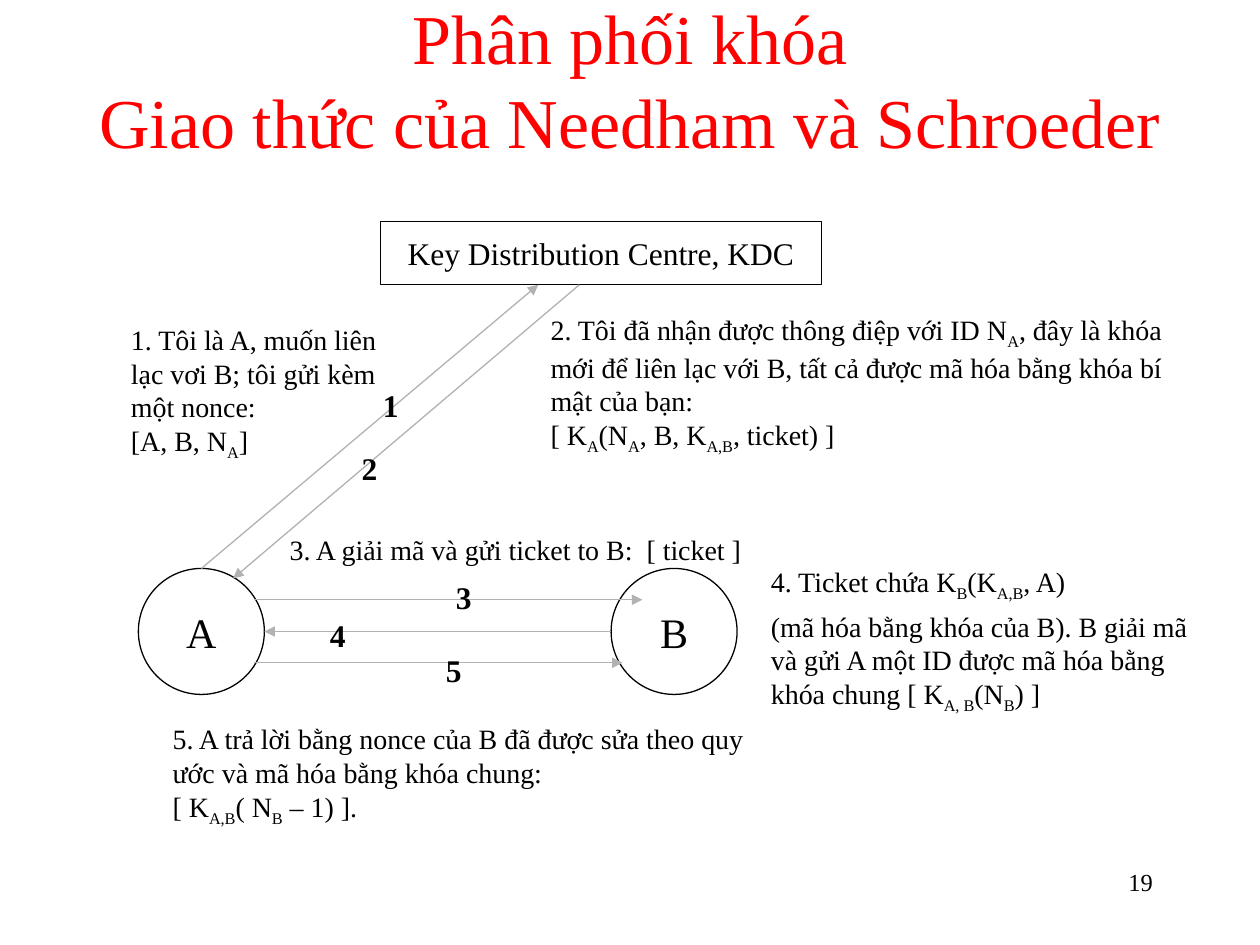
import pptx
import pptx.dml.color
import pptx.enum.shapes
import pptx.enum.text
import pptx.oxml.ns
import pptx.util
from lxml import etree

Cm = pptx.util.Cm
Pt = pptx.util.Pt
qn = pptx.oxml.ns.qn
SHAPES = pptx.enum.shapes.MSO_SHAPE
ALIGN = pptx.enum.text.PP_ALIGN
ANCHOR = pptx.enum.text.MSO_ANCHOR

FONT = "Times New Roman"
BLACK, RED, GREY = "000000", "FF0000", "B2B2B2"
CIRCLE = 2.54

# Each note: left, top, width, height, paragraphs as (text, space after).
# Braces mark subscripts.
NOTES = [
    (2.39, 6.38, 5.51, 3.07, [
        ("1. Tôi là A, muốn liên lạc vơi B; tôi gửi kèm một nonce: \n[A, B, N{A}]", 0)]),
    (10.85, 6.17, 13.13, 3.15, [
        ("2. Tôi đã nhận được thông điệp với ID N{A}, đây là khóa mới để liên lạc "
         "với B, tất cả được mã hóa bằng khóa bí mật của bạn:", 0),
        ("[ K{A}(N{A}, B, K{A,B}, ticket) ]", 3)]),
    (5.59, 10.62, 10.06, 0.94, [
        ("3. A giải mã và gửi ticket to B:  [ ticket ]", 0)]),
    (15.29, 11.25, 9.32, 3.3, [
        ("4. Ticket chứa K{B}(K{A,B}, A)", 4),
        ("(mã hóa bằng khóa của B). B giải mã và gửi A một ID được mã hóa bằng "
         "khóa chung [ K{A, B}(N{B}) ]", 0)]),
    (3.23, 14.43, 12.07, 2.39, [
        ("5. A trả lời bằng nonce của B đã được sửa theo quy ước và mã hóa bằng "
         "khóa chung:\n[ K{A,B}( N{B} – 1) ].", 4)]),
]

# Each message: number, arrow start, arrow end, left and top of the number
MESSAGES = [
    ("1", (4.06, 11.46), (10.85, 5.74), (7.47, 7.65)),
    ("2", (11.68, 5.74), (4.7, 11.66), (7.04, 8.92)),
    ("3", (5.13, 12.09), (12.95, 12.09), (8.94, 11.53)),
    ("4", (12.32, 12.73), (5.33, 12.73), (6.4, 12.29)),
    ("5", (5.13, 13.36), (12.55, 13.36), (8.74, 13)),
]


def color(value):
    return pptx.dml.color.RGBColor.from_string(value)


def add_spans(para, text, size, ink, bold):
    pieces = text.replace("}", "{").split("{")
    for index, piece in enumerate(pieces):
        for row, line in enumerate(piece.split("\n")):
            if row:
                para.add_line_break()
            if not line:
                continue
            span = para.add_run()
            span.text = line
            span.font.name = FONT
            span.font.size = Pt(size)
            span.font.bold = bold
            span.font.color.rgb = color(ink)
            if index % 2:
                span.font._element.set("baseline", "-25000")


def fill_text(box, paragraphs, size, ink=BLACK, align=ALIGN.LEFT,
              anchor=ANCHOR.TOP, wrap=True, bold=False):
    frame = box.text_frame
    frame.word_wrap = wrap
    frame.vertical_anchor = anchor
    for index, (text, after) in enumerate(paragraphs):
        para = frame.add_paragraph() if index else frame.paragraphs[0]
        para.alignment = align
        para.space_after = Pt(after)
        add_spans(para, text, size, ink, bold)


def add_text(page, left, top, width, height, paragraphs, size, **style):
    box = page.shapes.add_textbox(Cm(left), Cm(top), Cm(width), Cm(height))
    fill_text(box, paragraphs, size, **style)


def add_node(page, kind, left, top, width, height, label, size):
    node = page.shapes.add_shape(kind, Cm(left), Cm(top), Cm(width), Cm(height))
    node.shadow.inherit = False
    node.fill.background()
    node.line.color.rgb = color(BLACK)
    node.line.width = Pt(0.75)
    fill_text(node, [(label, 0)], size, align=ALIGN.CENTER,
              anchor=ANCHOR.MIDDLE, wrap=False)


def add_arrow(page, start, end):
    arrow = page.shapes.add_connector(
        pptx.enum.shapes.MSO_CONNECTOR.STRAIGHT, *map(Cm, start + end))
    arrow.line.color.rgb = color(GREY)
    arrow.line.width = Pt(0.75)
    etree.SubElement(arrow.line._get_or_add_ln(), qn("a:tailEnd"), type="triangle")
    etree.SubElement(arrow._element.spPr, qn("a:effectLst"))


def main():
    deck = pptx.Presentation()
    deck.slide_width, deck.slide_height = Cm(25.4), Cm(19.05)
    page = deck.slides.add_slide(deck.slide_layouts[6])

    # Title
    add_text(page, 0, 0, 25.4, 3.18,
             [("Phân phối khóa\nGiao thức của Needham và Schroeder", 0)], 40,
             ink=RED, align=ALIGN.CENTER, anchor=ANCHOR.MIDDLE)

    # Parties and key centre
    for label, left in (("A", 2.79), ("B", 12.32)):
        add_node(page, SHAPES.OVAL, left, 11.46, CIRCLE, CIRCLE, label, 24)
    add_node(page, SHAPES.RECTANGLE, 7.67, 4.47, 8.89, 1.27,
             "Key Distribution Centre, KDC", 18)

    # Numbered messages
    for number, start, end, corner in MESSAGES:
        add_arrow(page, start, end)
        add_text(page, *corner, 0.81, 1.02, [(number, 0)], 18, wrap=False, bold=True)

    # Explanations
    for left, top, width, height, paragraphs in NOTES:
        add_text(page, left, top, width, height, paragraphs, 16)

    # Page number
    add_text(page, 18.21, 17.35, 5.28, 1.27, [("19", 0)], 14, align=ALIGN.RIGHT)

    deck.save("out.pptx")


if __name__ == "__main__":
    main()
